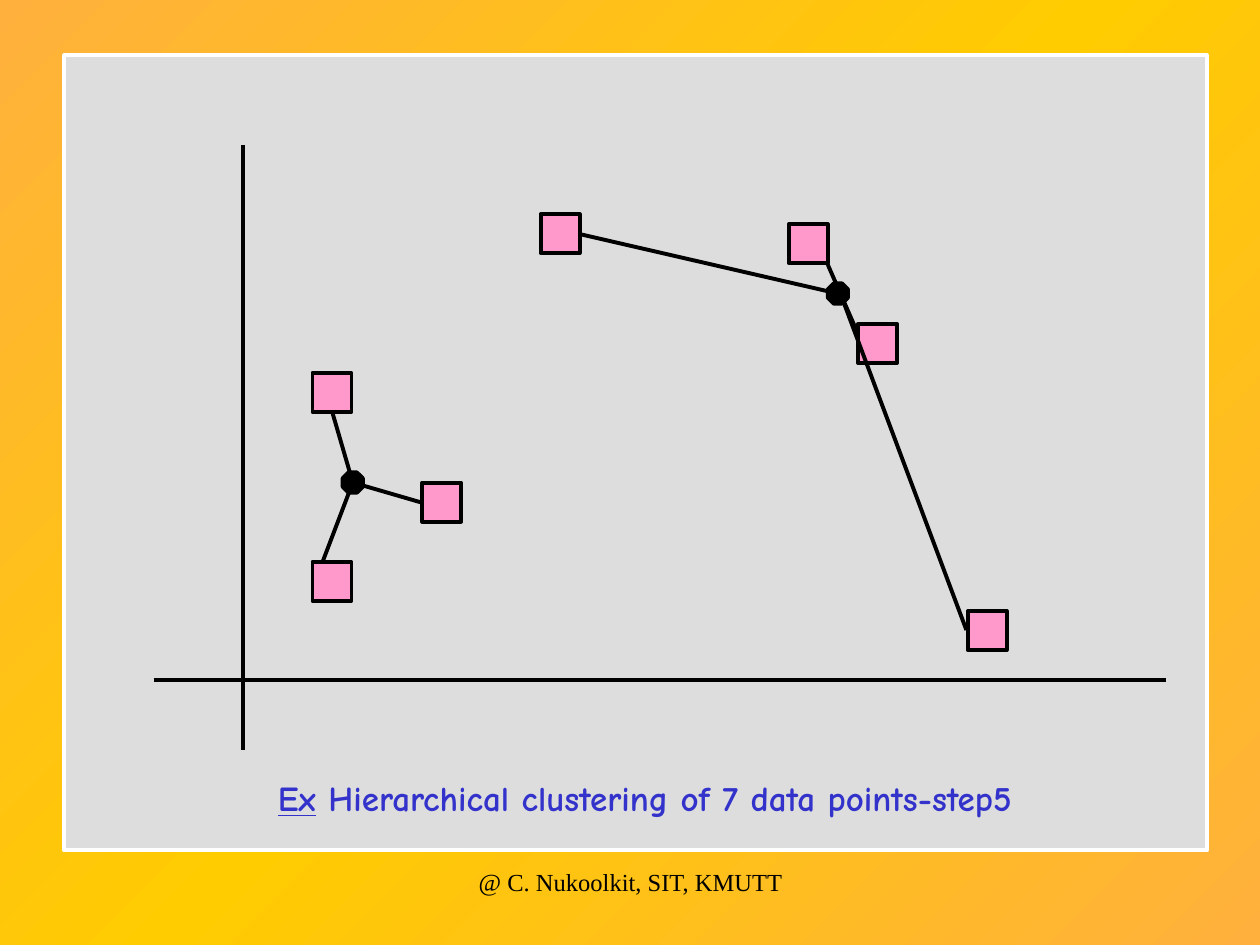
import copy
from typing import NamedTuple

import pptx
import pptx.dml.color
import pptx.enum.shapes
import pptx.enum.text
import pptx.oxml.ns
import pptx.oxml.xmlchemy
import pptx.util
from pptx.util import Inches

BLACK, WHITE, GREY, PINK, BLUE = "000000", "FFFFFF", "DDDDDD", "FF99CC", "3333CC"
ORANGE, YELLOW = "FFB03D", "FFCC00"
LINE_WIDTH = pptx.util.Pt(2.25)
POINT_SIZE, CENTROID_SIZE = 0.31, 0.16
SHAPES = pptx.enum.shapes.MSO_SHAPE


class Spot(NamedTuple):
    x: float
    y: float


class Segment(NamedTuple):
    start: Spot
    end: Spot


class Area(NamedTuple):
    left: float
    top: float
    width: float
    height: float

    def lengths(self) -> list:
        return [Inches(value) for value in self]


AXES = [
    Segment(Spot(1.93, 1.15), Spot(1.93, 5.95)),
    Segment(Spot(1.22, 5.4), Spot(9.25, 5.4)),
]
DATA_POINTS = [
    Spot(2.48, 4.46), Spot(3.35, 3.83), Spot(2.48, 2.96), Spot(4.29, 1.7),
    Spot(6.26, 1.78), Spot(6.81, 2.57), Spot(7.68, 4.85),
]
LEFT_CENTRE = Spot(2.8, 3.83)
RIGHT_CENTRE = Spot(6.65, 2.33)
CLUSTER_LINKS = [
    Segment(Spot(5.05, 0.43), Spot(5.05, 0.43)),
    Segment(Spot(6.57, 2.1), Spot(6.81, 2.65)),
    Segment(Spot(2.64, 3.28), LEFT_CENTRE),
    Segment(Spot(4.61, 1.86), RIGHT_CENTRE),
    Segment(LEFT_CENTRE, Spot(2.56, 4.46)),
    Segment(LEFT_CENTRE, Spot(3.35, 3.99)),
    Segment(Spot(7.67, 5), Spot(6.67, 2.33)),
]
CAPTION_FORMAT = {"name": "Comic Neue", "size": pptx.util.Pt(20), "bold": True}
FOOTER_FORMAT = {"name": "Times New Roman", "size": pptx.util.Pt(14)}


def colour(hex_value: str) -> pptx.dml.color.RGBColor:
    return pptx.dml.color.RGBColor.from_string(hex_value)


def paint_background(page) -> None:
    """Lay a diagonal gradient that is orange in two corners and yellow between."""
    fill = page.background.fill
    fill.gradient()
    fill.gradient_angle = 135
    stop_list = next(page._element.iter(pptx.oxml.ns.qn("a:gsLst")))
    stop_list.append(copy.deepcopy(stop_list[-1]))
    for stop, position, shade in zip(
        fill.gradient_stops, (0, 0.5, 1), (ORANGE, YELLOW, ORANGE)
    ):
        stop.position = position
        stop.color.rgb = colour(shade)


def draw_shape(page, kind, area: Area, fill: str, outline: str = BLACK):
    shape = page.shapes.add_shape(kind, *area.lengths())
    shape.shadow.inherit = False
    shape.fill.solid()
    shape.fill.fore_color.rgb = colour(fill)
    shape.line.color.rgb = colour(outline)
    shape.line.width = LINE_WIDTH
    return shape


def draw_line(page, segment: Segment) -> None:
    ends = [Inches(value) for spot in segment for value in spot]
    line = page.shapes.add_connector(
        pptx.enum.shapes.MSO_CONNECTOR.STRAIGHT, *ends
    )
    line.line.color.rgb = colour(BLACK)
    line.line.width = LINE_WIDTH
    properties = line._element.spPr
    properties.append(properties.makeelement(pptx.oxml.ns.qn("a:effectLst"), {}))


def draw_centroid(page, centre: Spot) -> None:
    half = CENTROID_SIZE / 2
    area = Area(centre.x - half, centre.y - half, CENTROID_SIZE, CENTROID_SIZE)
    draw_shape(page, SHAPES.OCTAGON, area, BLACK)


def write_text(
    page, area: Area, spans: list[tuple[str, bool]], text_format: dict, shade: str
) -> None:
    """Write one centred paragraph; each span is its wording and its underline."""
    box = page.shapes.add_textbox(*area.lengths())
    box.text_frame.word_wrap = True
    para = box.text_frame.paragraphs[0]
    para.alignment = pptx.enum.text.PP_ALIGN.CENTER
    for wording, underline in spans:
        span = para.add_run()
        span.text = wording
        for name, value in {**text_format, "underline": underline}.items():
            setattr(span.font, name, value)
        span.font.color.rgb = colour(shade)


def main() -> None:
    deck = pptx.Presentation()
    deck.slide_width, deck.slide_height = Inches(10), Inches(7.5)
    page = deck.slides.add_slide(deck.slide_layouts[6])

    paint_background(page)
    draw_shape(page, SHAPES.RECTANGLE, Area(0.51, 0.44, 9.07, 6.31), GREY, WHITE)
    for axis in AXES:
        draw_line(page, axis)
    for point in DATA_POINTS:
        area = Area(point.x, point.y, POINT_SIZE, POINT_SIZE)
        draw_shape(page, SHAPES.RECTANGLE, area, PINK)
    write_text(
        page,
        Area(0.83, 6.11, 8.58, 0.44),
        [("Ex", True), (" Hierarchical clustering of 7 data points-step5", False)],
        CAPTION_FORMAT,
        BLUE,
    )
    for link in CLUSTER_LINKS:
        draw_line(page, link)
    for centre in (LEFT_CENTRE, RIGHT_CENTRE):
        draw_centroid(page, centre)
    write_text(
        page,
        Area(3.42, 6.83, 3.17, 0.5),
        [("@ C. Nukoolkit, SIT, KMUTT", False)],
        FOOTER_FORMAT,
        BLACK,
    )
    deck.save("out.pptx")


if __name__ == "__main__":
    main()
